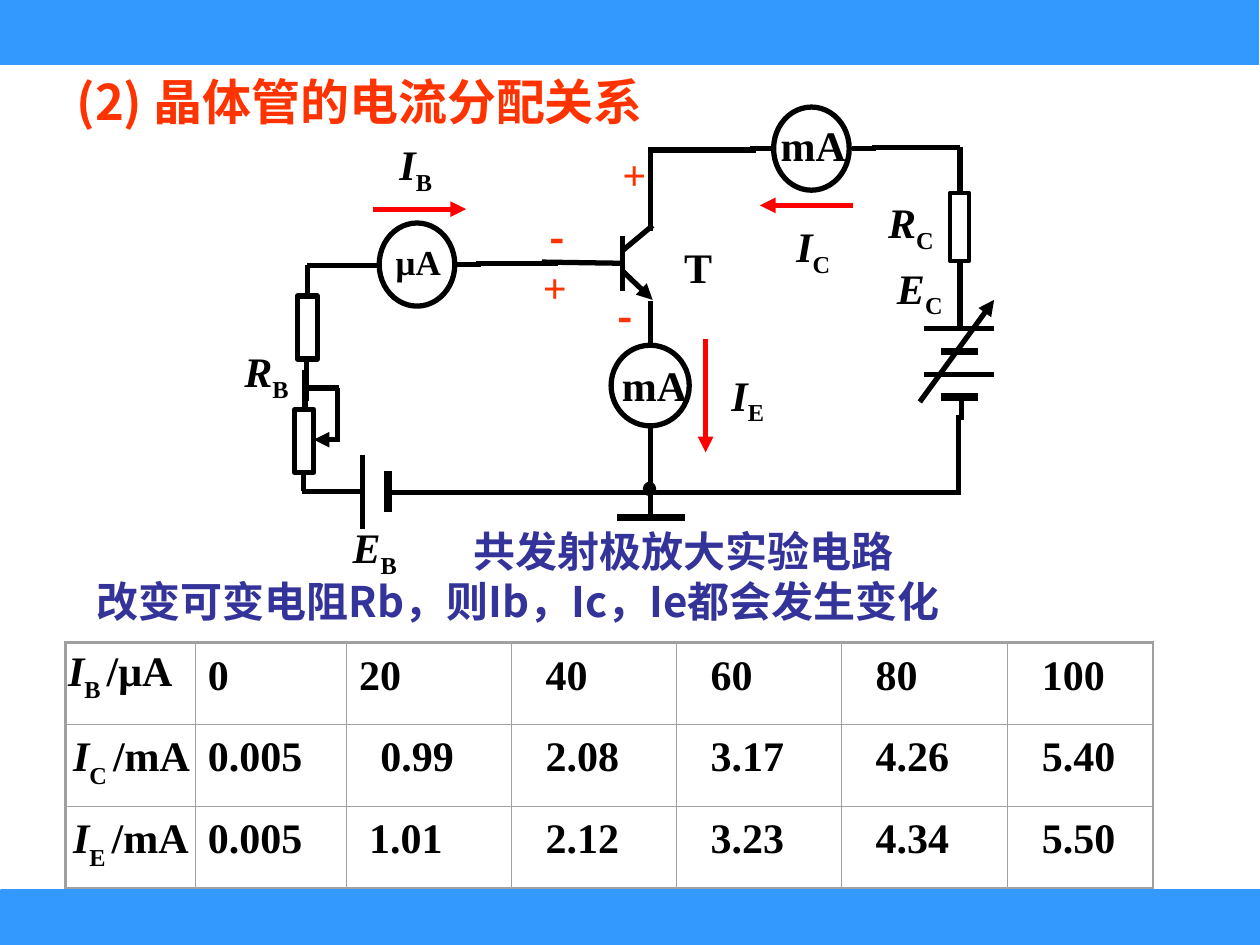
"""Build a slide on the current distribution in a transistor, with circuit and data table."""
import pptx
import pptx.util
import pptx.dml.color
import pptx.enum.shapes
import pptx.enum.text
import pptx.oxml.ns
import lxml.etree

Inches = pptx.util.Inches
Pt = pptx.util.Pt
Shapes = pptx.enum.shapes.MSO_SHAPE
Anchor = pptx.enum.text.MSO_ANCHOR
Align = pptx.enum.text.PP_ALIGN
qn = pptx.oxml.ns.qn

COLORS = {"band": "3399FF", "title": "FF3300", "note": "333399", "ink": "000000",
          "arrow": "FF0000", "grid": "A0A0A0", "paper": "FFFFFF"}
SERIF = "Times New Roman"
SANS = "Noto Sans CJK SC"


def rgb(name):
    return pptx.dml.color.RGBColor.from_string(COLORS[name])


def write(para, text, color="ink", size=24, face=SERIF, align=Align.LEFT, drop=-25000):
    """Write text in which underscores part an italic symbol, its subscript and a unit."""
    para.alignment = align
    parts = text.split("_")
    for index, part in enumerate(parts):
        span = para.add_run()
        span.text = part
        values = {"size": Pt(size), "name": face, "bold": True,
                  "italic": len(parts) > 1 and index == 0}
        for key, value in values.items():
            setattr(span.font, key, value)
        span.font.color.rgb = rgb(color)
        properties = span._r.get_or_add_rPr()
        if index == 1:
            properties.set("baseline", str(drop))
        lxml.etree.SubElement(properties, qn("a:ea"), typeface=SANS)


deck = pptx.Presentation()
deck.slide_width, deck.slide_height = Inches(10), Inches(7.5)
page = deck.slides.add_slide(deck.slide_layouts[6])

shapes = [
    (Shapes.RECTANGLE, 0.01, 7.08, 9.99, 0.42, "band", "band", 3),
    (Shapes.RECTANGLE, 0, -0.01, 9.99, 0.52, "band", "band", 0.25),
    (Shapes.RECTANGLE, 2.36, 2.35, 0.16, 0.5, None, "ink", 3),
    (Shapes.RECTANGLE, 2.34, 3.25, 0.15, 0.5, None, "ink", 3),
    (Shapes.RECTANGLE, 7.54, 1.53, 0.15, 0.54, "paper", "ink", 2.5),
    (Shapes.OVAL, 6.14, 0.85, 0.6, 0.66, None, "ink", 3),
    (Shapes.OVAL, 3.01, 1.77, 0.6, 0.66, None, "ink", 3),
    (Shapes.OVAL, 4.85, 2.74, 0.62, 0.64, None, "ink", 3),
    (Shapes.OVAL, 5.12, 3.84, 0.07, 0.08, "ink", "ink", 2.5),
]
for kind, left, top, width, height, fill, edge, weight in shapes:
    shape = page.shapes.add_shape(kind, Inches(left), Inches(top), Inches(width), Inches(height))
    shape.shadow.inherit = False
    if fill:
        shape.fill.solid()
        shape.fill.fore_color.rgb = rgb(fill)
    else:
        shape.fill.background()
    shape.line.color.rgb = rgb(edge)
    shape.line.width = Pt(weight)

wires = [
    (2.44, 2.33, 2.44, 2.1), (2.43, 3.18, 2.43, 2.85), (2.42, 3.23, 2.42, 2.94),
    (2.41, 3.9, 2.41, 3.75), (2.42, 3.08, 2.69, 3.08), (2.68, 3.08, 2.68, 3.51),
    (2.88, 3.61, 2.88, 4.2), (2.4, 3.9, 2.87, 3.9), (3.09, 3.91, 7.63, 3.91),
    (6.13, 1.18, 5.95, 1.18), (6.76, 1.18, 6.95, 1.18), (6.92, 1.17, 7.62, 1.17),
    (5.16, 1.19, 6, 1.19), (3, 2.11, 2.44, 2.11), (3.62, 2.1, 3.82, 2.1),
    (3.78, 2.09, 4.43, 2.09), (4.3, 2.08, 4.96, 2.09), (4.94, 1.87, 4.94, 2.31),
    (4.94, 1.99, 5.18, 1.79), (5.16, 1.17, 5.16, 1.83), (5.16, 2.39, 5.16, 2.74),
    (5.16, 3.39, 5.16, 4.11), (7.62, 1.17, 7.62, 1.53), (7.62, 2.07, 7.62, 2.61),
    (7.89, 2.61, 7.33, 2.61), (7.89, 2.97, 7.33, 2.97), (7.63, 3.15, 7.63, 3.33),
    (7.61, 3.29, 7.61, 3.89),
]
plates = [(3.08, 3.74, 3.08, 4.06), (7.76, 2.79, 7.47, 2.79), (7.76, 3.15, 7.47, 3.15)]
ground = [(4.9, 4.11, 5.44, 4.11)]
pointers = [(2.67, 3.49, 2.49, 3.49), (7.3, 3.19, 7.89, 2.38), (4.94, 2.15, 5.18, 2.38)]
currents = [(5.6, 2.69, 5.6, 3.59), (2.96, 1.66, 3.7, 1.66), (6.77, 1.63, 6.03, 1.63)]
for lines, color, weight, arrow in [
        (wires, "ink", 3, False), (plates, "ink", 4.5, False), (ground, "ink", 4, False),
        (pointers, "ink", 3, True), (currents, "arrow", 3, True)]:
    for ends in lines:
        line = page.shapes.add_connector(
            pptx.enum.shapes.MSO_CONNECTOR.STRAIGHT, *[Inches(value) for value in ends])
        line.line.color.rgb = rgb(color)
        line.line.width = Pt(weight)
        properties = line._element.spPr
        if arrow:
            lxml.etree.SubElement(properties.find(qn("a:ln")), qn("a:tailEnd"), type="triangle")
        lxml.etree.SubElement(properties, qn("a:effectLst"))

middle = {"align": Align.CENTER}
plus = {"color": "title"}
minus = {"color": "title", "face": SANS}
texts = [
    ("(2) 晶体管的电流分配关系", 0.51, 0.52, 5.46, 0.57, True, {**minus, "size": 28}),
    ("mA", 6.09, 0.9, 0.73, 0.5, True, middle),
    ("μA", 3.02, 1.86, 0.6, 0.43, True, {**middle, "size": 20}),
    ("mA", 4.81, 2.8, 0.77, 0.5, True, middle),
    ("T", 5.2, 1.87, 0.68, 0.5, True, middle),
    ("I_E", 5.61, 2.91, 0.65, 0.5, True, middle),
    ("R_B", 1.83, 2.72, 0.57, 0.5, False, middle),
    ("I_B", 3.06, 1.08, 0.48, 0.5, False, middle),
    ("E_C", 7.01, 2.06, 0.58, 0.5, False, middle),
    ("E_B", 2.69, 4.12, 0.57, 0.5, False, middle),
    ("I_C", 6.21, 1.73, 0.49, 0.5, False, middle),
    ("R_C", 6.94, 1.54, 0.58, 0.5, False, middle),
    ("+", 4.84, 1.13, 0.39, 0.5, False, plus),
    ("-", 4.8, 2.26, 0.54, 0.5, False, minus),
    ("-", 4.26, 1.63, 0.37, 0.5, False, minus),
    ("+", 4.21, 2.03, 0.39, 0.5, False, plus),
    ("共发射极放大实验电路", 3.66, 4.12, 4.6, 0.5, True,
     {"color": "note", "align": Align.JUSTIFY}),
    ("改变可变电阻Rb，则Ib，Ic，Ie都会发生变化", 0.67, 4.52, 8.55, 0.5, True,
     {"color": "note", "face": SANS}),
]
for text, left, top, width, height, wrap, style in texts:
    box = page.shapes.add_textbox(Inches(left), Inches(top), Inches(width), Inches(height))
    box.text_frame.word_wrap = wrap
    if style.get("align") == Align.CENTER:
        box.text_frame.vertical_anchor = Anchor.MIDDLE
    write(box.text_frame.paragraphs[0], text, **style)

readings = [
    ["I_B _/μA", "0", "20", "40", "60", "80", "100"],
    ["I_C _/mA", "0.005", "0.99", "2.08", "3.17", "4.26", "5.40"],
    ["I_E _/mA", "0.005", "1.01", "2.12", "3.23", "4.34", "5.50"],
]
widths = [1.03, 1.2, 1.31, 1.31, 1.31, 1.32, 1.15]
indents = [[0.02, 0.1, 0.1], [0.06, 0.1, 0.27], [0.06, 0.1, 0.18]]
table = page.shapes.add_table(
    3, 7, Inches(0.52), Inches(5.1), Inches(sum(widths)), Inches(1.95)).table
table.first_row = table.horz_banding = False
for column, width in zip(table.columns, widths):
    column.width = Inches(width)
for row_index, row in enumerate(readings):
    table.rows[row_index].height = Inches(0.65)
    for column_index, text in enumerate(row):
        cell = table.cell(row_index, column_index)
        indent = indents[row_index][column_index] if column_index < 3 else 0.27
        margins = {"margin_left": Inches(indent), "margin_right": 0, "margin_bottom": 0,
                   "margin_top": Inches(0.05 if row_index + column_index == 0 else 0.08)}
        for key, value in margins.items():
            setattr(cell, key, value)
        write(cell.text_frame.paragraphs[0], text, drop=-30000)
        outer = {"a:lnL": column_index == 0, "a:lnR": column_index == 6,
                 "a:lnT": row_index == 0, "a:lnB": row_index == 2}
        for tag, is_outer in outer.items():
            border = lxml.etree.SubElement(
                cell._tc.get_or_add_tcPr(), qn(tag), w=str(Pt(1.5 if is_outer else 0.75)))
            paint = lxml.etree.SubElement(border, qn("a:solidFill"))
            lxml.etree.SubElement(paint, qn("a:srgbClr"), val=COLORS["grid"])
        cell.fill.background()

deck.save("out.pptx")
